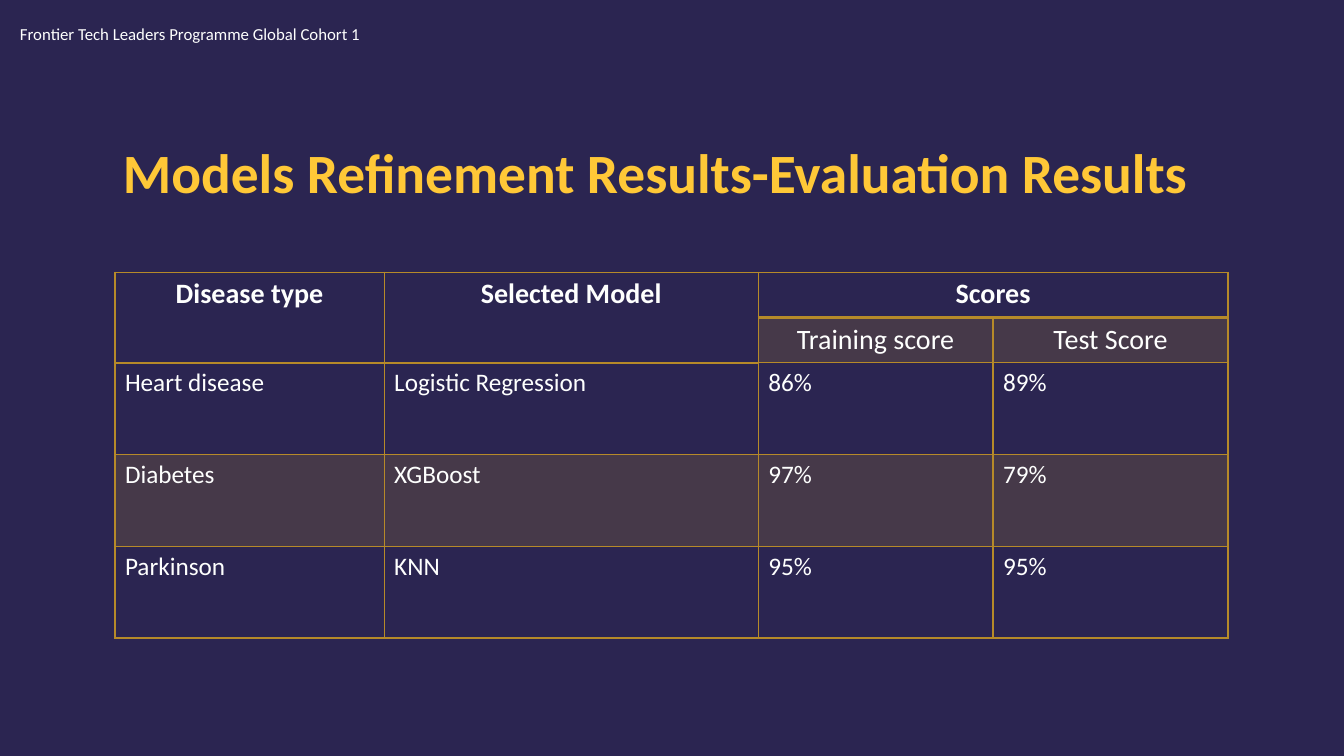
from dataclasses import dataclass

from lxml import etree
from pptx import Presentation
from pptx.dml.color import RGBColor
from pptx.enum import text as t
from pptx.oxml import ns
from pptx.util import Inches, Pt

NAVY = RGBColor(0x2B, 0x25, 0x51)
YELLOW = RGBColor(0xFF, 0xC8, 0x37)
GOLD = RGBColor(0xB6, 0x8A, 0x29)
WHITE = RGBColor(0xFE, 0xFF, 0xFE)
FONT = "Calibri"
BAND_OPACITY = 20

COLUMN_WIDTHS = (2.67, 3.71, 2.33, 2.33)
ROW_HEIGHTS = (0.45, 0.45, 0.91, 0.91, 0.91)
ROWS = (
    ("Disease type", "Selected Model", "Scores", ""),
    ("", "", "Training score", "Test Score"),
    ("Heart disease", "Logistic Regression", "86%", "89%"),
    ("Diabetes", "XGBoost", "97%", "79%"),
    ("Parkinson", "KNN", "95%", "95%"),
)
MERGES = (((0, 0), (1, 0)), ((0, 1), (1, 1)), ((0, 2), (0, 3)))


@dataclass(frozen=True)
class TextStyle:
    size: float
    color: RGBColor = WHITE
    bold: bool = False


@dataclass(frozen=True)
class Caption:
    text: str
    left: float
    top: float
    width: float
    height: float
    style: TextStyle
    anchor: t.MSO_ANCHOR = t.MSO_ANCHOR.TOP
    line_spacing: float = 1.0


CAPTIONS = (
    Caption("Models Refinement Results-Evaluation Results", 1.12, 1.24, 11.06, 1.01,
            TextStyle(39.6, YELLOW, True), t.MSO_ANCHOR.MIDDLE, 0.9),
    Caption("Frontier Tech Leaders Programme Global Cohort 1", 0.1, 0.19, 5.54, 0.3,
            TextStyle(12)),
)
HEADING = TextStyle(20, bold=True)
SUBHEADING = TextStyle(20)
BODY = TextStyle(18)


def add_span(para, text: str, style: TextStyle) -> None:
    span = para.add_run()
    span.text = text
    span.font.name = FONT
    span.font.size = Pt(style.size)
    span.font.bold = style.bold
    span.font.color.rgb = style.color


def add_caption(page, caption: Caption) -> None:
    box = page.shapes.add_textbox(Inches(caption.left), Inches(caption.top),
                                  Inches(caption.width), Inches(caption.height))
    frame = box.text_frame
    frame.word_wrap = True
    frame.vertical_anchor = caption.anchor
    para = frame.paragraphs[0]
    para.line_spacing = caption.line_spacing
    add_span(para, caption.text, caption.style)


def edge_width(row: int, column: int) -> int:
    """Width in points of the line above a cell: thicker under the headings."""
    first_row_below = 2 if column < 2 else 1
    return 2 if row == first_row_below else 1


def set_borders(cell, row: int, column: int) -> None:
    properties = cell._tc.get_or_add_tcPr()
    widths = {"lnL": 1, "lnR": 1, "lnT": edge_width(row, column),
              "lnB": edge_width(row + 1, column)}
    for side, width in widths.items():
        line = etree.SubElement(properties, ns.qn(f"a:{side}"), w=str(Pt(width)))
        fill = etree.SubElement(line, ns.qn("a:solidFill"))
        etree.SubElement(fill, ns.qn("a:srgbClr"), val=str(GOLD))


def set_band(cell, banded: bool) -> None:
    if not banded:
        cell.fill.background()
        return
    cell.fill.solid()
    cell.fill.fore_color.rgb = GOLD
    color = cell._tc.tcPr.find(f"{ns.qn('a:solidFill')}/{ns.qn('a:srgbClr')}")
    etree.SubElement(color, ns.qn("a:alpha"), val=str(BAND_OPACITY * 1000))


def add_scores_table(page) -> None:
    frame = page.shapes.add_table(
        len(ROWS), len(COLUMN_WIDTHS), Inches(1.14), Inches(2.7),
        Inches(sum(COLUMN_WIDTHS)), Inches(sum(ROW_HEIGHTS)))
    table = frame.table
    table.first_row = table.horz_banding = False
    for column, width in zip(table.columns, COLUMN_WIDTHS):
        column.width = Inches(width)
    for row, height in zip(table.rows, ROW_HEIGHTS):
        row.height = Inches(height)
    for start, end in MERGES:
        table.cell(*start).merge(table.cell(*end))

    for r, texts in enumerate(ROWS):
        style = (HEADING, SUBHEADING)[r] if r < 2 else BODY
        for c, text in enumerate(texts):
            cell = table.cell(r, c)
            set_borders(cell, r, c)
            set_band(cell, r % 2 == 1 and not cell.is_spanned)
            if text:
                para = cell.text_frame.paragraphs[0]
                para.alignment = t.PP_ALIGN.CENTER if r < 2 else t.PP_ALIGN.LEFT
                add_span(para, text, style)


def main() -> None:
    deck = Presentation()
    deck.slide_width, deck.slide_height = Inches(13.33), Inches(7.5)
    page = deck.slides.add_slide(deck.slide_layouts[6])
    page.background.fill.solid()
    page.background.fill.fore_color.rgb = NAVY
    for caption in CAPTIONS:
        add_caption(page, caption)
    add_scores_table(page)
    deck.save("out.pptx")


if __name__ == "__main__":
    main()
